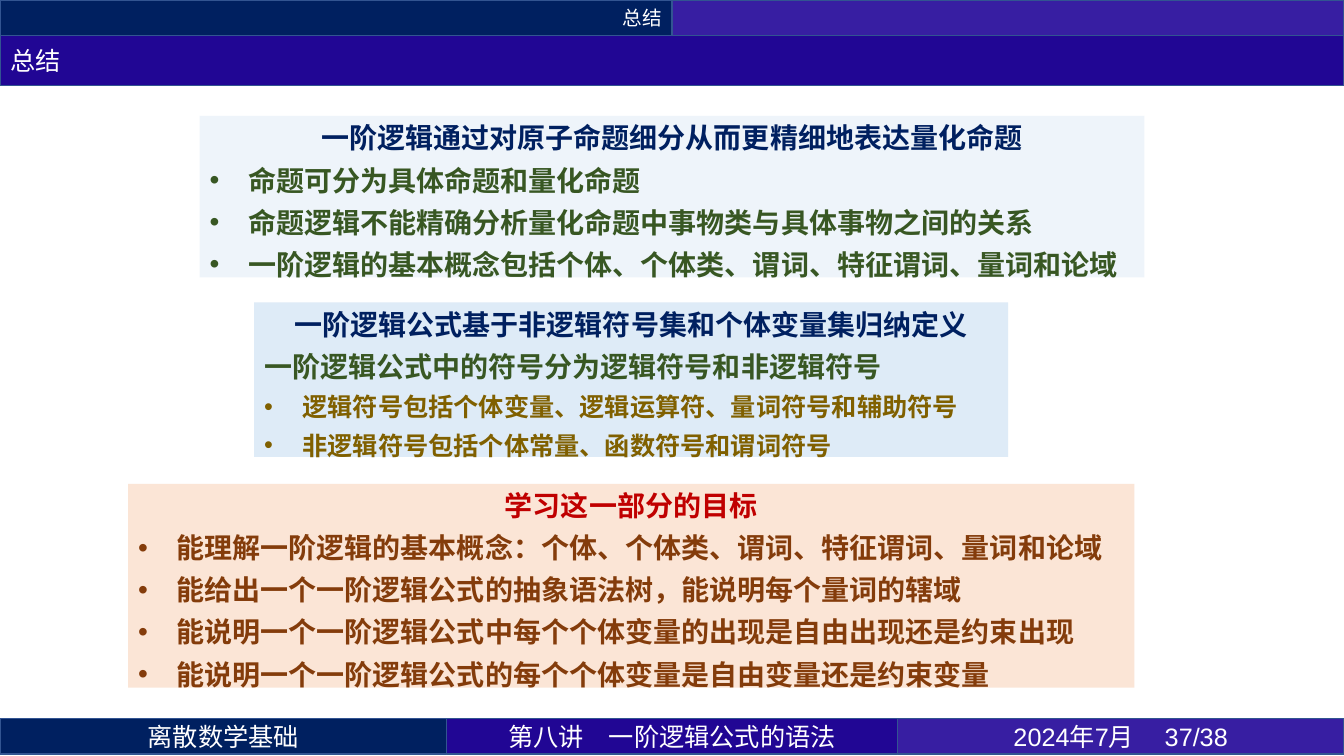
from dataclasses import dataclass

import pptx
import pptx.dml.color
import pptx.enum.shapes
import pptx.enum.text
import pptx.oxml.ns
import pptx.util
from lxml import etree

Inches = pptx.util.Inches
Pt = pptx.util.Pt
ALIGN = pptx.enum.text.PP_ALIGN
ANCHOR = pptx.enum.text.MSO_ANCHOR
qn = pptx.oxml.ns.qn


@dataclass(frozen=True)
class Theme:
    font: str = "Noto Sans CJK SC"
    latin_font: str = "Arial"
    white: str = "FFFFFF"
    navy: str = "002060"
    indigo: str = "210694"
    violet: str = "371EA2"
    border: str = "325491"
    pale_blue: str = "DEEBF7"
    peach: str = "FBE5D6"
    green: str = "385723"
    olive: str = "806000"
    red: str = "C00000"
    brown: str = "843C0B"
    small: int = 14
    medium: int = 18
    large: int = 20


THEME = Theme()
SLIDE_WIDTH = 13.33
BAR_HEIGHT = 0.35
FOOTER_TOP = 7.13
INDENT = 0.38


def rgb(value):
    return pptx.dml.color.RGBColor.from_string(value)


def place(shape, left, top, width, height):
    shape.left, shape.top = Inches(left), Inches(top)
    shape.width, shape.height = Inches(width), Inches(height)


def fill_shape(shape, color, opacity=100):
    shape.fill.solid()
    shape.fill.fore_color.rgb = rgb(color)
    if opacity < 100:
        color_element = shape.fill._xPr.find(qn("a:solidFill"))[0]
        etree.SubElement(color_element, qn("a:alpha"), val=str(opacity * 1000))


def format_runs(paragraph, size, color, bold=False, font=THEME.font):
    """Format every run, with the theme font for East Asian characters."""
    for run in paragraph.runs:
        run.font.size = Pt(size)
        run.font.bold = bold
        run.font.color.rgb = rgb(color)
        run.font.name = font
        latin = run.font._element.find(qn("a:latin"))
        east_asian = etree.Element(qn("a:ea"), typeface=THEME.font)
        latin.addnext(east_asian)


def set_bullet(paragraph, bulleted):
    properties = paragraph._p.get_or_add_pPr()
    indent = Inches(INDENT) if bulleted else 0
    properties.set("marL", str(indent))
    properties.set("indent", str(-indent))
    if bulleted:
        etree.SubElement(properties, qn("a:buFont"), typeface=THEME.latin_font)
        etree.SubElement(properties, qn("a:buChar"), char="•")
    else:
        etree.SubElement(properties, qn("a:buNone"))


def style_bar(shape, color, text, alignment, size=THEME.medium, font=THEME.font):
    fill_shape(shape, color)
    shape.line.color.rgb = rgb(THEME.border)
    shape.line.width = Pt(1)
    if text:
        frame = shape.text_frame
        frame.text = text
        frame.vertical_anchor = ANCHOR.MIDDLE
        frame.paragraphs[0].alignment = alignment
        format_runs(frame.paragraphs[0], size, THEME.white, font=font)


def add_bar(slide, left, top, width, color, text="", alignment=ALIGN.CENTER, **style):
    bar = slide.shapes.add_shape(
        pptx.enum.shapes.MSO_SHAPE.RECTANGLE,
        Inches(left), Inches(top), Inches(width), Inches(BAR_HEIGHT))
    bar.shadow.inherit = False
    style_bar(bar, color, text, alignment, **style)


def fill_panel(panel, box, fill, heading_color, heading, lines, opacity=100):
    """Lay out a centred heading over lines of (text, bulleted, size, color)."""
    place(panel, *box)
    fill_shape(panel, fill, opacity)
    frame = panel.text_frame
    frame.word_wrap = True
    frame.auto_size = pptx.enum.text.MSO_AUTO_SIZE.SHAPE_TO_FIT_TEXT
    frame.vertical_anchor = ANCHOR.TOP
    rows = [(heading, False, THEME.large, heading_color)] + lines
    frame.text = "\n".join(row[0] for row in rows)
    for paragraph, (_, bulleted, size, color) in zip(frame.paragraphs, rows):
        set_bullet(paragraph, bulleted)
        paragraph.alignment = ALIGN.LEFT
        paragraph.space_before = Pt(0)
        paragraph.space_after = Pt(6)
        format_runs(paragraph, size, color, bold=True)
    frame.paragraphs[0].alignment = ALIGN.CENTER


def bullets(color, size, *texts):
    return [(text, True, size, color) for text in texts]


def add_header(slide):
    half = SLIDE_WIDTH / 2
    add_bar(slide, 0, 0, half, THEME.navy, "总结", ALIGN.RIGHT, size=THEME.small)
    add_bar(slide, half, 0, half, THEME.violet)
    title = slide.shapes.title
    place(title, 0, BAR_HEIGHT, SLIDE_WIDTH, 0.5)
    style_bar(title, THEME.indigo, "总结", ALIGN.LEFT)


def add_footer(slide):
    add_bar(slide, 0, FOOTER_TOP, 4.43, THEME.navy, "离散数学基础")
    add_bar(slide, 4.43, FOOTER_TOP, 4.47, THEME.indigo, "第八讲\t一阶逻辑公式的语法")
    add_bar(slide, 8.9, FOOTER_TOP, 4.43, THEME.violet, "2024年7月 \t37/38",
            font=THEME.latin_font)


def main():
    presentation = pptx.Presentation()
    presentation.slide_width = Inches(SLIDE_WIDTH)
    presentation.slide_height = Inches(7.5)
    comparison_layout = presentation.slide_layouts[4]
    slide = presentation.slides.add_slide(comparison_layout)
    _, concepts, formulas, goals, unused = slide.placeholders
    unused._element.getparent().remove(unused._element)

    add_header(slide)
    fill_panel(
        concepts, (1.98, 1.15, 9.37, 1.7), THEME.pale_blue, THEME.navy,
        "一阶逻辑通过对原子命题细分从而更精细地表达量化命题",
        bullets(THEME.green, THEME.large,
                "命题可分为具体命题和量化命题",
                "命题逻辑不能精确分析量化命题中事物类与具体事物之间的关系",
                "一阶逻辑的基本概念包括个体、个体类、谓词、特征谓词、量词和论域"),
        opacity=50)
    fill_panel(
        formulas, (2.52, 3, 7.48, 1.63), THEME.pale_blue, THEME.navy,
        "一阶逻辑公式基于非逻辑符号集和个体变量集归纳定义",
        [("一阶逻辑公式中的符号分为逻辑符号和非逻辑符号", False, THEME.large, THEME.green)]
        + bullets(THEME.olive, THEME.medium,
                  "逻辑符号包括个体变量、逻辑运算符、量词符号和辅助符号",
                  "非逻辑符号包括个体常量、函数符号和谓词符号"))
    fill_panel(
        goals, (1.27, 4.8, 9.98, 2.12), THEME.peach, THEME.red,
        "学习这一部分的目标",
        bullets(THEME.brown, THEME.large,
                "能理解一阶逻辑的基本概念：个体、个体类、谓词、特征谓词、量词和论域",
                "能给出一个一阶逻辑公式的抽象语法树，能说明每个量词的辖域",
                "能说明一个一阶逻辑公式中每个个体变量的出现是自由出现还是约束出现",
                "能说明一个一阶逻辑公式的每个个体变量是自由变量还是约束变量"))
    add_footer(slide)
    presentation.save("out.pptx")


if __name__ == "__main__":
    main()
